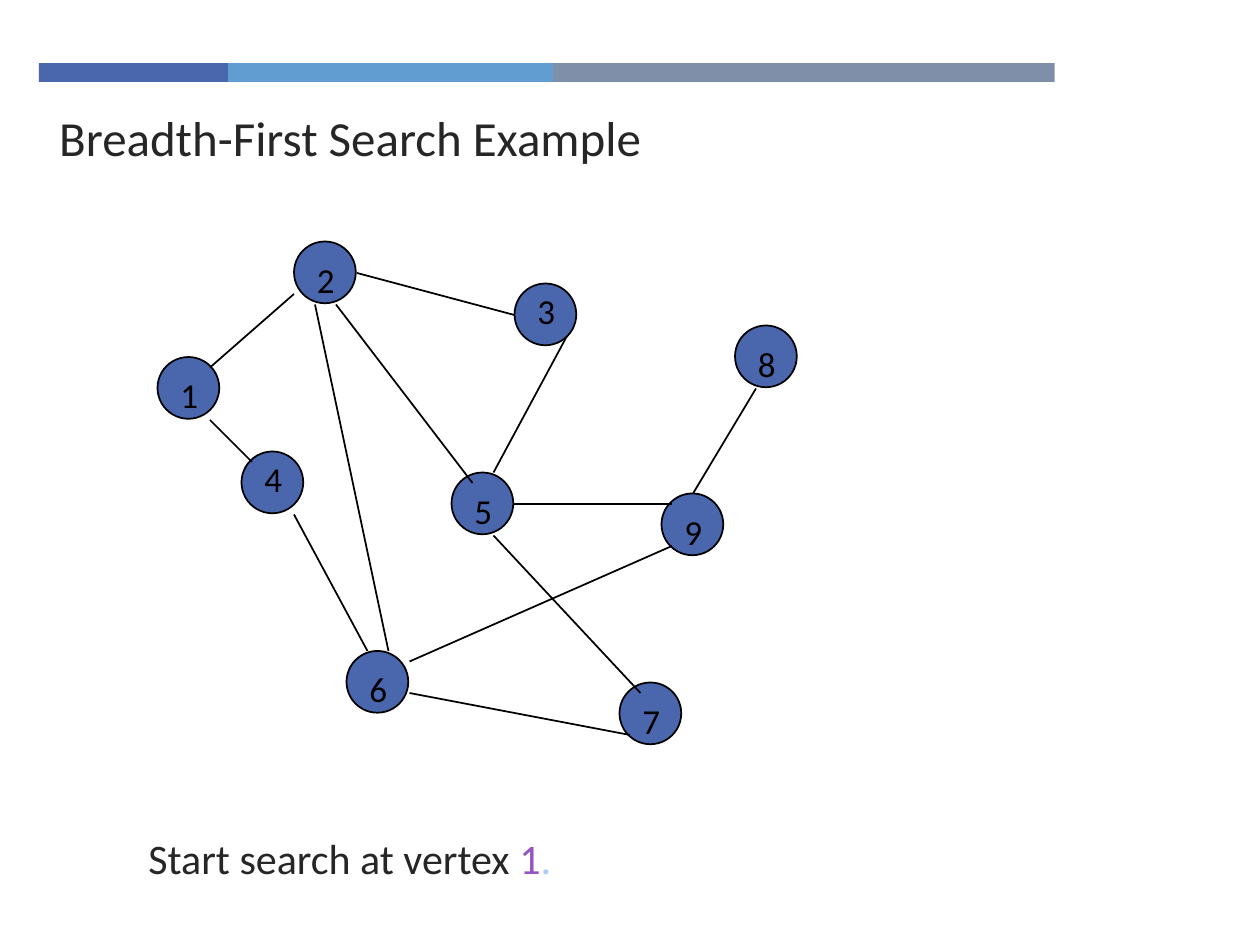
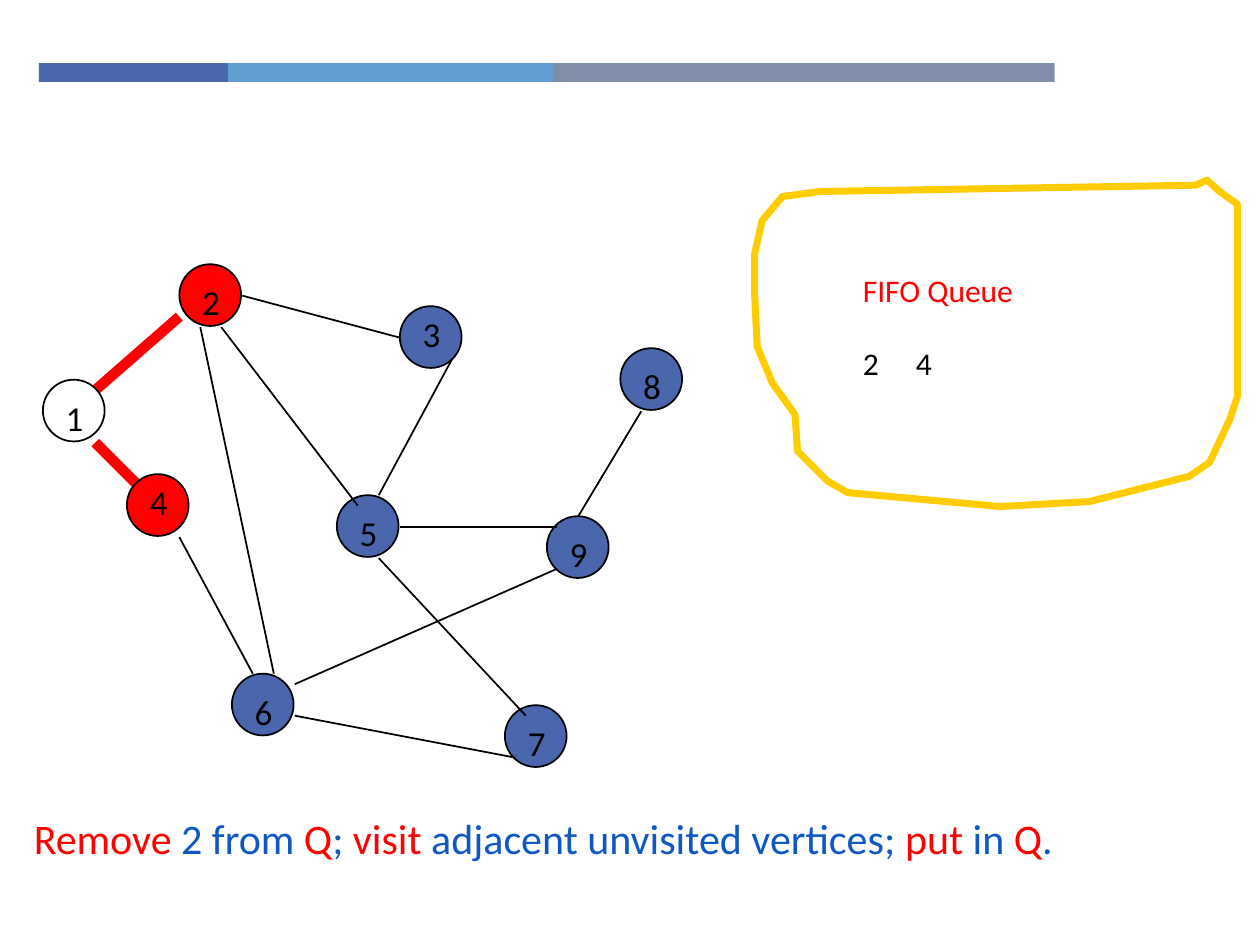
from pptx import Presentation
from pptx.dml.color import RGBColor
from pptx.enum.shapes import MSO_CONNECTOR as CONN, MSO_SHAPE as SHAPE
from pptx.enum.text import MSO_ANCHOR as ANCHOR, MSO_AUTO_SIZE as FIT, PP_ALIGN as ALIGN
from pptx.oxml.ns import qn
from pptx.util import Inches, Pt
from lxml import etree

TITLE_ONLY, BLANK = 5, 6
BLUE, BLACK, WHITE, RED, GOLD = "4A66AC", "000000", "FFFFFF", "FF0000", "FFCC00"
DARK, PURPLE, PALE, INK = "262626", "9454C3", "ACCBF9", "0E58C4"
BANDS = [(1.5, BLUE), (2.58, "629DD1"), (3.98, "7F8FA9")]

GRID = 1 / 12
NODE_SIZE = 0.49
NODES = {
    1: (15, 34), 2: (28, 23), 3: (49, 27),
    4: (23, 43), 5: (43, 45), 6: (33, 62),
    7: (59, 65), 8: (70, 31), 9: (63, 47),
}
RAISED_LABELS = {3, 4}

TOP, TOP_LEFT, TOP_RIGHT = (3, 0), (2, 0), (4, 0)
BOTTOM_LEFT, BOTTOM_RIGHT, BOTTOM_END = (2, 6), (4, 6), (5, 6)
LEFT, LEFT_LOW = (0, 3), (0, 5)
RIGHT, RIGHT_HIGH, RIGHT_LOW = (6, 3), (6, 1), (6, 4)
NORTH_WEST, NORTH_EAST, SOUTH_WEST, SOUTH_EAST = (1, 1), (5, 1), (1, 5), (5, 5)
INSIDE_TOP = (2, 1)

EDGES = {
    (1, 2): (NORTH_EAST, LEFT_LOW),
    (1, 4): (BOTTOM_END, NORTH_WEST),
    (2, 3): (RIGHT, LEFT),
    (2, 5): (BOTTOM_RIGHT, INSIDE_TOP),
    (2, 6): (BOTTOM_LEFT, TOP_RIGHT),
    (3, 5): (SOUTH_EAST, TOP_RIGHT),
    (4, 6): (BOTTOM_END, TOP_LEFT),
    (5, 7): (BOTTOM_RIGHT, INSIDE_TOP),
    (5, 9): (RIGHT, NORTH_WEST),
    (6, 7): (RIGHT_LOW, SOUTH_WEST),
    (6, 9): (RIGHT_HIGH, SOUTH_WEST),
    (8, 9): (BOTTOM_LEFT, TOP),
}

QUEUE_LEFT, QUEUE_TOP = 5.99, 1.43
QUEUE_SIDES = {
    "top": [(3.59, 0), (3.5, 0.04), (0.52, 0.09), (0.22, 0.13)],
    "left": [(0.06, 0.32), (0, 0.58), (0, 0.92), (0.02, 1.32), (0.14, 1.61), (0.32, 1.86)],
    "bottom": [(0.34, 2.15), (0.58, 2.39), (0.74, 2.48), (1.95, 2.59), (2.66, 2.55), (3.45, 2.35)],
    "right": [(3.61, 2.24), (3.77, 1.9), (3.83, 1.72), (3.83, 0.19), (3.69, 0.09)],
}


def rgb(color):
    return RGBColor.from_string(color)


def add_run(p, text, size=24, color=BLACK, font="Calibri"):
    r = p.add_run()
    r.text = text
    r.font.size = Pt(size)
    r.font.name = font
    r.font.color.rgb = rgb(color)


class Deck:
    def __init__(self):
        self.prs = Presentation()
        self.prs.slide_width, self.prs.slide_height = Inches(10), Inches(7.5)

    def new_slide(self, title=None):
        layout = self.prs.slide_layouts[TITLE_ONLY if title else BLANK]
        self.s = self.prs.slides.add_slide(layout)
        x = 0.31
        for width, color in BANDS:
            self.shape(SHAPE.RECTANGLE, x, 0.5, width, 0.15, color)
            x += width
        if title:
            self.title(title)

    def title(self, text):
        sp = self.s.shapes.title
        sp.left, sp.top, sp.width, sp.height = map(Inches, (0.37, 0.8, 7.16, 0.54))
        tf = sp.text_frame
        tf.auto_size, tf.vertical_anchor = FIT.NONE, ANCHOR.TOP
        p = tf.paragraphs[0]
        p.alignment = ALIGN.LEFT
        add_run(p, text, size=28, color=DARK)

    def shape(self, kind, x, y, width, height, fill, line=None):
        sp = self.s.shapes.add_shape(kind, *map(Inches, (x, y, width, height)))
        sp.shadow.inherit = False
        sp.fill.solid()
        sp.fill.fore_color.rgb = rgb(fill)
        if line:
            sp.line.color.rgb = rgb(line)
            sp.line.width = Pt(1)
        else:
            sp.line.fill.background()

    def text(self, x, y, width, height, runs, size=24):
        sp = self.s.shapes.add_textbox(*map(Inches, (x, y, width, height)))
        tf = sp.text_frame
        tf.word_wrap = True
        for text, color in runs:
            add_run(tf.paragraphs[0], text, size=size, color=color)

    def line(self, start, end, color=BLACK, width=1):
        c = self.s.shapes.add_connector(CONN.STRAIGHT, *map(Inches, (*start, *end)))
        c.line.color.rgb = rgb(color)
        c.line.width = Pt(width)
        etree.SubElement(c._element.spPr, qn("a:effectLst"))

    def outline(self, left, top, sides, color, width):
        points = [(Inches(left + x), Inches(top + y))
                  for side in sides.values() for x, y in side]
        builder = self.s.shapes.build_freeform(*points[0])
        builder.add_line_segments(points[1:], close=True)
        sp = builder.convert_to_shape()
        sp.shadow.inherit = False
        sp.fill.background()
        sp.line.color.rgb = rgb(color)
        sp.line.width = Pt(width)

    def graph(self, dx=0, dy=0, node_colors={}, tree=()):
        def place(node, port=(0, 0)):
            (col, row), (port_col, port_row) = NODES[node], port
            return dx + (col + port_col) * GRID, dy + (row + port_row) * GRID

        def connect(pairs, **style):
            for a, b in pairs:
                port_a, port_b = EDGES[a, b]
                self.line(place(a, port_a), place(b, port_b), **style)

        connect(tree, color=RED, width=6)
        for node in NODES:
            color = node_colors.get(node, BLUE)
            self.shape(SHAPE.OVAL, *place(node), NODE_SIZE, NODE_SIZE, color, BLACK)
        connect(pair for pair in EDGES if pair not in tree)
        for node in NODES:
            label_port = (1, 0 if node in RAISED_LABELS else 1)
            self.text(*place(node, label_port), 0.25, 0.43, [(str(node), BLACK)], size=20)

    def queue(self, vertices):
        x, step = 6.75, 0.42
        self.text(x, 2.1, 3.08, 0.86, [("FIFO Queue", RED)], size=18)
        self.outline(QUEUE_LEFT, QUEUE_TOP, QUEUE_SIDES, GOLD, 4)
        for i, vertex in enumerate(vertices):
            self.text(x + step * i, 2.68, step, 0.63, [(str(vertex), BLACK)], size=18)


def main():
    deck = Deck()

    deck.new_slide("Breadth-First Search Example")
    deck.text(1.08, 6.56, 8.5, 0.78,
              [("Start search at vertex ", DARK), ("1", PURPLE), (".", PALE)])
    deck.graph()

    deck.new_slide()
    deck.text(0.17, 6.4, 9.83, 0.78, [
        ("Remove", RED), (" 2 from ", INK), ("Q", RED), ("; ", INK), ("visit", RED),
        (" adjacent unvisited vertices; ", INK), ("put", RED), (" in ", INK),
        ("Q", RED), (".", INK)])
    start, queued = 1, [2, 4]
    deck.graph(-0.91, 0.18,
               node_colors={start: WHITE, **{vertex: RED for vertex in queued}},
               tree=[(start, vertex) for vertex in queued])
    deck.queue(queued)

    deck.prs.save("out.pptx")


if __name__ == "__main__":
    main()
